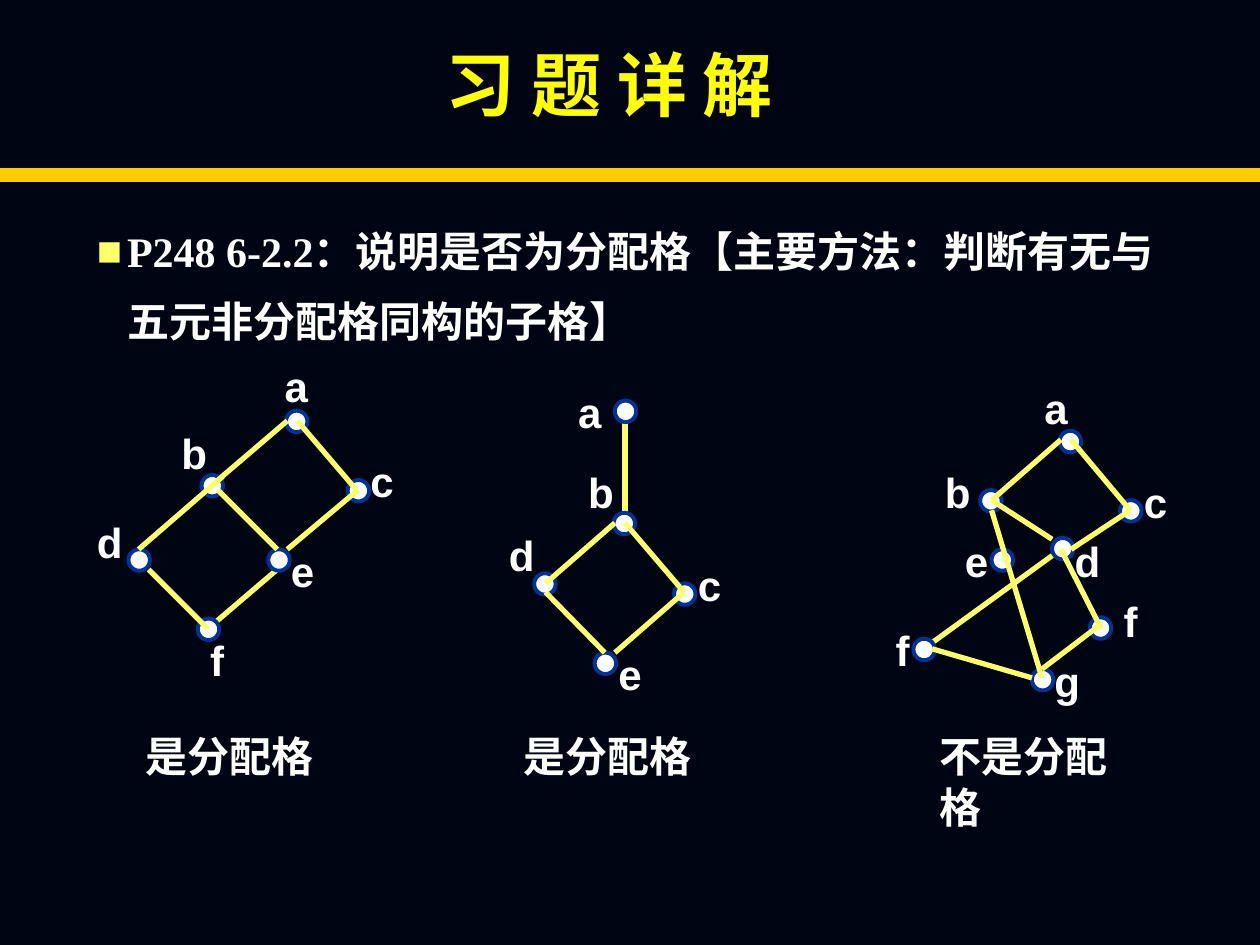
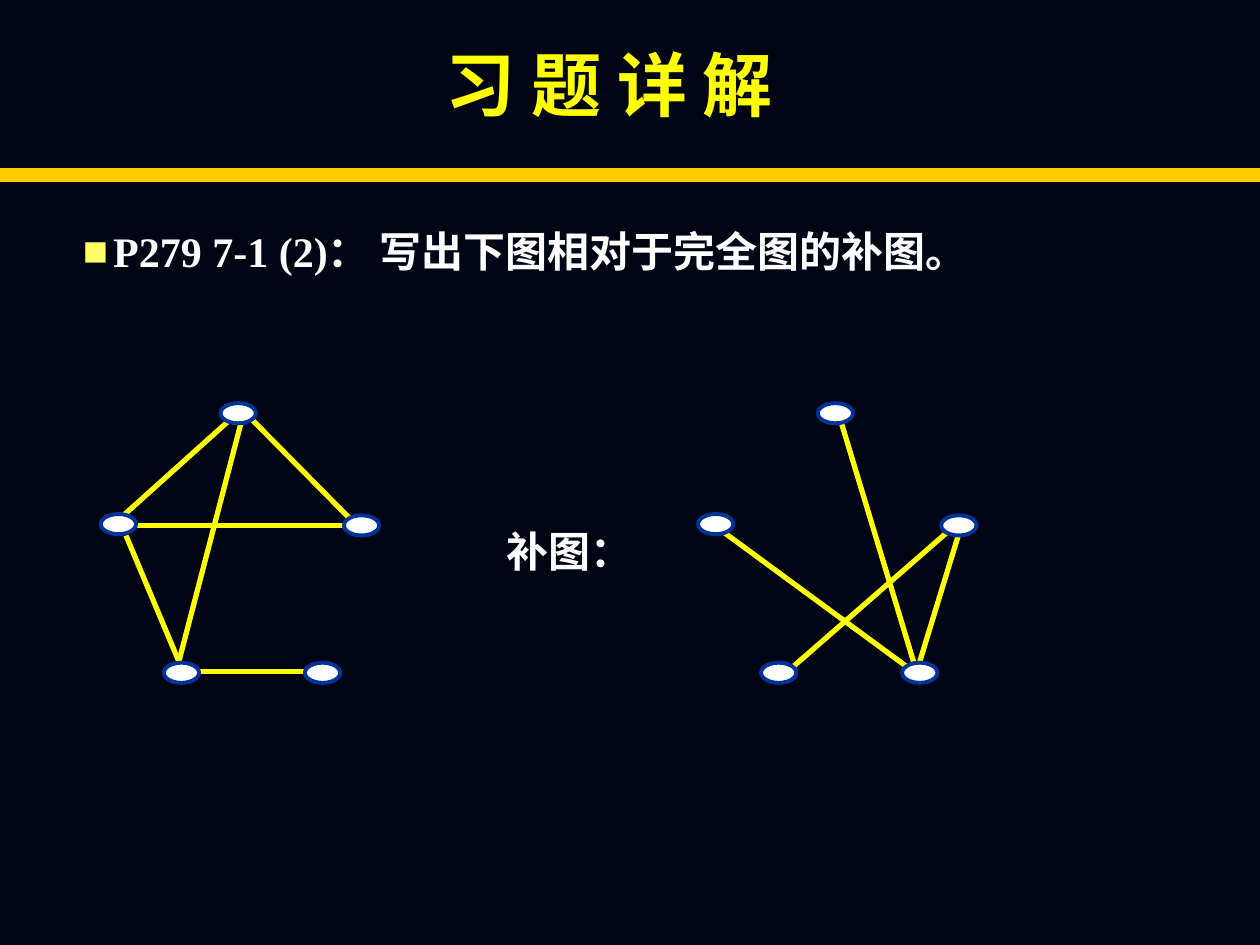
from lxml.etree import SubElement
from pptx import Presentation
from pptx.dml.color import RGBColor
from pptx.enum.lang import MSO_LANGUAGE_ID
from pptx.enum.shapes import MSO_CONNECTOR, MSO_SHAPE
from pptx.enum.text import PP_ALIGN
from pptx.oxml.ns import qn
from pptx.util import Inches, Pt

COLORS = {
    "background": "000514",
    "title": "FFFF00",
    "band": "FFCC00",
    "text": "FFFFFF",
    "bullet": "FFFF66",
    "lattice edge": "FFFF66",
    "graph edge": "FFFF00",
    "node": "FFFFFF",
    "node outline": "003399",
}
COLORS = {name: RGBColor.from_string(value) for name, value in COLORS.items()}

deck = Presentation()
deck.slide_width = Inches(10)
deck.slide_height = Inches(7.5)
column = deck.slide_width / 10
row = deck.slide_height / 7.5


def add_text(page, area, text, font="Times New Roman", size=24, color="text",
             align=PP_ALIGN.LEFT, spacing=None, bullet=False, wrap=True):
    left, top, width, height = area
    box = page.shapes.add_textbox(int(left * column), int(top * row),
                                  int(width * column), int(height * row))
    box.text_frame.word_wrap = wrap
    para = box.text_frame.paragraphs[0]
    if bullet:
        properties = para._p.get_or_add_pPr()
        properties.set("marL", str(Inches(0.24)))
        properties.set("indent", str(-Inches(0.24)))
        bullet_color = SubElement(properties, qn("a:buClr"))
        SubElement(bullet_color, qn("a:srgbClr")).set("val", str(COLORS["bullet"]))
        SubElement(properties, qn("a:buFont")).set("typeface", "Arial")
        SubElement(properties, qn("a:buChar")).set("char", "■")
    para.alignment = align
    para.line_spacing = spacing
    span = para.add_run()
    span.text = text
    span.font.name = font
    span.font.size = Pt(size)
    span.font.bold = True
    span.font.color.rgb = COLORS[color]
    span.font.language_id = MSO_LANGUAGE_ID.SIMPLIFIED_CHINESE


def add_line(page, ends, color, width=3):
    x1, y1, x2, y2 = ends
    line = page.shapes.add_connector(MSO_CONNECTOR.STRAIGHT, int(x1 * column), int(y1 * row),
                                     int(x2 * column), int(y2 * row))
    line.line.color.rgb = COLORS[color]
    line.line.width = Pt(width)
    SubElement(line._element.spPr, qn("a:effectLst"))


lattices = [
    {
        "nodes": [(2.27, 3.26), (1.6, 3.77), (2.13, 4.36), (2.76, 3.81), (1.02, 4.36), (1.57, 4.91)],
        "labels": [("a", 2.16, 2.81), ("b", 1.34, 3.34), ("c", 2.84, 3.57),
                   ("d", 0.67, 4.05), ("e", 2.21, 4.28), ("f", 1.57, 4.99)],
        "under": [(2.2, 4.52, 1.65, 4.99)],
        "over": [(2.36, 3.34, 2.83, 3.89), (2.28, 3.34, 1.73, 3.81), (1.77, 3.78, 1.1, 4.36),
                 (2.84, 3.89, 2.28, 4.36), (1.18, 4.52, 1.65, 4.99), (1.73, 3.89, 2.2, 4.36)],
        "verdict": ("是分配格", 1.06, 1.53),
    },
    {
        "nodes": [(4.88, 3.18), (4.87, 4.07), (4.24, 4.55), (4.72, 5.18), (5.35, 4.63)],
        "labels": [("a", 4.49, 3.02), ("b", 4.57, 3.65), ("c", 5.44, 4.39),
                   ("d", 3.94, 4.15), ("e", 4.81, 5.1)],
        "under": [(4.96, 3.26, 4.96, 4.13)],
        "over": [(4.96, 4.15, 5.43, 4.7), (4.88, 4.15, 4.33, 4.63),
                 (5.43, 4.7, 4.88, 5.18), (4.33, 4.7, 4.8, 5.18)],
        "verdict": ("是分配格", 4.06, 1.53),
    },
    {
        "nodes": [(8.41, 3.42), (7.78, 3.89), (8.35, 4.27), (8.89, 3.97), (7.25, 5.07),
                  (8.19, 5.31), (7.87, 4.36), (8.65, 4.9)],
        "labels": [("a", 8.19, 2.99), ("b", 7.4, 3.65), ("c", 8.98, 3.73), ("d", 8.43, 4.2),
                   ("e", 7.56, 4.2), ("f", 7.01, 4.91), ("g", 8.27, 5.15), ("f", 8.82, 4.68)],
        "under": [(8.42, 4.36, 7.33, 5.15)],
        "over": [(8.5, 3.49, 8.97, 4.05), (8.42, 3.49, 7.87, 3.97), (8.97, 4.05, 8.5, 4.36),
                 (7.87, 3.97, 8.35, 4.28), (7.87, 4.05, 8.27, 5.38), (8.19, 5.38, 7.4, 5.15),
                 (8.42, 4.36, 8.74, 4.99), (8.73, 4.96, 8.27, 5.31)],
        "verdict": ("不是分配格", 7.36, 1.86),
    },
]

vertices = [(1.75, 3.2), (0.8, 4.08), (2.73, 4.09), (1.3, 5.26), (2.42, 5.26)]
complement_shift = 4.74
graphs = [
    {
        "nodes": vertices,
        "under": [(2, 3.33, 2.83, 4.17), (1.86, 3.3, 0.97, 4.1), (1, 4.25, 1.42, 5.25),
                  (1.92, 3.33, 1.42, 5.25), (2.83, 4.17, 1, 4.17), (1.5, 5.33, 2.42, 5.33)],
    },
    {
        "nodes": [(left + complement_shift, top) for left, top in vertices],
        "under": [(7.3, 5.25, 7.63, 4.17), (7.25, 5.25, 6.67, 3.33),
                  (7.25, 5.33, 5.67, 4.17), (6.25, 5.33, 7.58, 4.17)],
    },
]

exercises = [
    {
        "question": "P248 6-2.2：说明是否为分配格【主要方法：判断有无与五元非分配格同构的子格】",
        "area": (0.67, 1.58, 8.7, 1.22),
        "diagrams": lattices,
        "node size": (0.17, 0.17),
        "edge": "lattice edge",
    },
    {
        "question": "P279 7-1 (2)： 写出下图相对于完全图的补图。",
        "area": (0.56, 1.58, 9.06, 0.66),
        "diagrams": graphs,
        "node size": (0.28, 0.16),
        "edge": "graph edge",
    },
]

background = deck.slide_master.background.fill
background.solid()
background.fore_color.rgb = COLORS["background"]

for exercise in exercises:
    page = deck.slides.add_slide(deck.slide_layouts[6])
    add_text(page, (1.33, 0.28, 7.01, 0.77), "习 题 详 解", font="Arial", size=40,
             color="title", align=PP_ALIGN.CENTER)
    add_line(page, (0, 1.39, 10, 1.39), "band", width=8)
    add_text(page, exercise["area"], exercise["question"], spacing=1.4, bullet=True)

    node_width, node_height = exercise["node size"]
    for diagram in exercise["diagrams"]:
        for ends in diagram["under"]:
            add_line(page, ends, exercise["edge"])
        for left, top in diagram["nodes"]:
            node = page.shapes.add_shape(MSO_SHAPE.OVAL, int(left * column), int(top * row),
                                         int(node_width * column), int(node_height * row))
            node.shadow.inherit = False
            node.fill.solid()
            node.fill.fore_color.rgb = COLORS["node"]
            node.line.color.rgb = COLORS["node outline"]
            node.line.width = Pt(2.25)
        for ends in diagram.get("over", []):
            add_line(page, ends, exercise["edge"])
        for letter, left, top in diagram.get("labels", []):
            add_text(page, (left, top, 0.39, 0.5), letter, font="Arial")
        if "verdict" in diagram:
            verdict, left, width = diagram["verdict"]
            add_text(page, (left, 5.75, width, 0.5), verdict, wrap=False)

add_text(page, (3.92, 3.92, 1.24, 0.7), "补图：", spacing=1.5)

deck.save("out.pptx")
